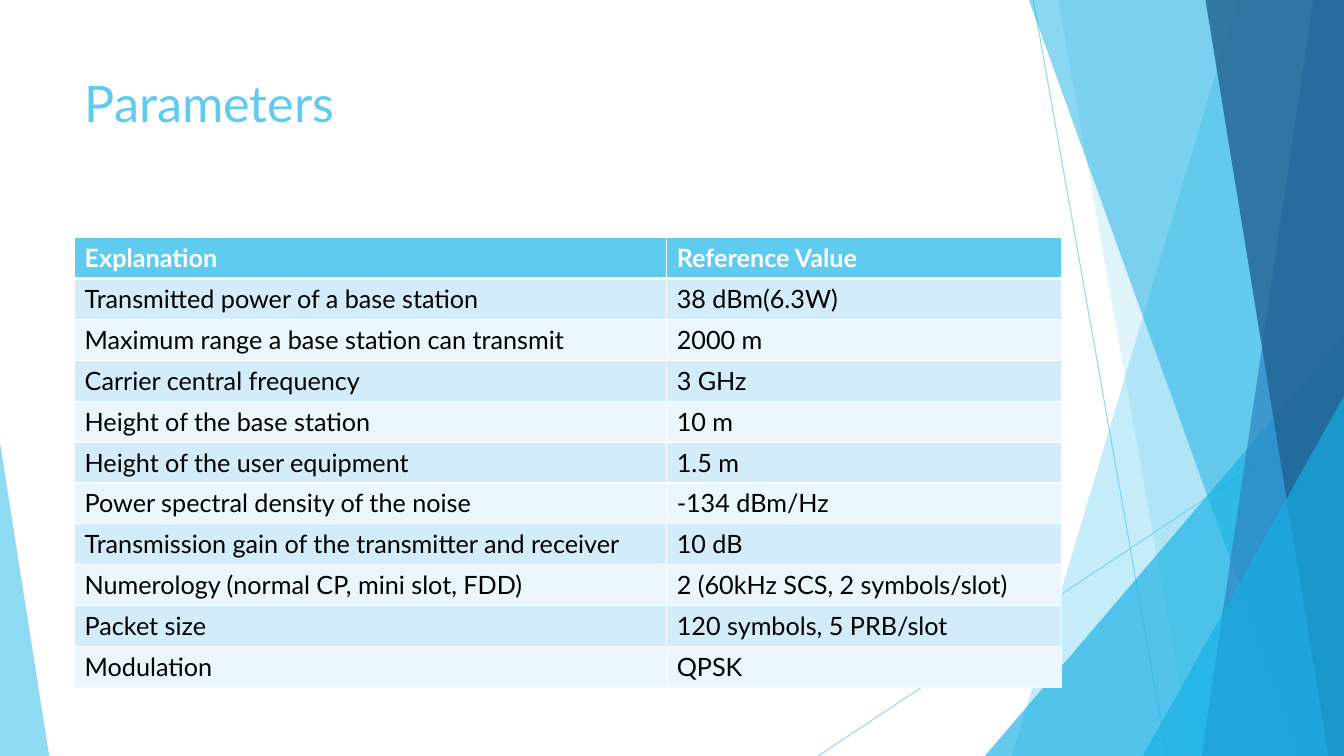
from dataclasses import dataclass

import lxml.etree
import pptx
import pptx.dml.color
import pptx.enum.shapes
import pptx.enum.text
import pptx.oxml.ns
import pptx.util

Cm, Pt = pptx.util.Cm, pptx.util.Pt
qn = pptx.oxml.ns.qn


@dataclass(frozen=True)
class Theme:
    font: str = "Lato"
    sky: str = "5FCBEF"
    aqua: str = "17B0E4"
    blue: str = "2E83C3"
    navy: str = "226292"
    white: str = "FFFFFF"
    black: str = "000000"
    bands: tuple = ("D2ECF9", "EAF6FC")
    title: int = 36
    body: int = 18


THEME = Theme()
PAGE = (0, 0, 33.87, 19.05)
ROWS = [
    ("Explanation", "Reference Value"),
    ("Transmitted power of a base station", "38 dBm(6.3W)"),
    ("Maximum range a base station can transmit", "2000 m"),
    ("Carrier central frequency", "3 GHz"),
    ("Height of the base station", "10 m"),
    ("Height of the user equipment", "1.5 m"),
    ("Power spectral density of the noise", "-134 dBm/Hz"),
    ("Transmission gain of the transmitter and receiver", "10 dB"),
    ("Numerology (normal CP, mini slot, FDD)", "2 (60kHz SCS, 2 symbols/slot)"),
    ("Packet size", "120 symbols, 5 PRB/slot"),
    ("Modulation", "QPSK"),
]


def rgb(code):
    return pptx.dml.color.RGBColor.from_string(code)


def write(frame, text, size=THEME.body, color=THEME.black, bold=False):
    para = frame.paragraphs[0]
    para.alignment = pptx.enum.text.PP_ALIGN.LEFT
    run = para.add_run()
    run.text = text
    run.font.name, run.font.size, run.font.bold = THEME.font, Pt(size), bold
    run.font.color.rgb = rgb(color)


def fade(shape, alpha):
    """Give every colour of the shape an opacity in percent."""
    for color in shape.element.spPr.iter(qn("a:srgbClr")):
        lxml.etree.SubElement(color, qn("a:alpha")).set("val", str(alpha * 1000))


def paint(shape, color, alpha):
    shape.shadow.inherit = False
    shape.fill.solid()
    shape.fill.fore_color.rgb = rgb(color)
    shape.line.fill.background()
    fade(shape, alpha)


def ray(slide, start, end):
    line = slide.shapes.add_connector(
        pptx.enum.shapes.MSO_CONNECTOR.STRAIGHT, *map(Cm, start + end))
    line.line.color.rgb = rgb(THEME.sky)
    line.line.width = Pt(0.75)
    fade(line, 70)
    lxml.etree.SubElement(line.element.spPr, qn("a:effectLst"))


def facet(slide, box, upper, lower, color, alpha):
    """Fill the box to the right of a slanted edge."""
    left, top, width, height = box
    right, base = left + width, top + height
    points = [(right, top), (right, base), (left + lower, base)]
    form = slide.shapes.build_freeform(Cm(left + upper), Cm(top), scale=1.0)
    form.add_line_segments([(Cm(x), Cm(y)) for x, y in points], close=True)
    paint(form.convert_to_shape(), color, alpha)


def wedge(slide, box, peak, color, alpha):
    """Draw a triangle whose tip is at the given share of its width."""
    shape = slide.shapes.add_shape(
        pptx.enum.shapes.MSO_SHAPE.ISOSCELES_TRIANGLE, *map(Cm, box))
    shape.adjustments[0] = peak
    paint(shape, color, alpha)


def backdrop(slide, box):
    left, top, width, height = box
    right, base = left + width, top + height

    def corner(x, y):
        wedge(slide, (left + x, top + y, width - x, height - y), 1, THEME.aqua, 66)

    ray(slide, (left + 26.04, top), (left + 29.41, base))
    ray(slide, (right, top + 10.24), (left + 20.62, base))
    facet(slide, box, 31.19, 25.5, THEME.sky, 36)
    facet(slide, box, 26.67, 30.05, THEME.sky, 20)
    corner(24.82, 8.46)
    facet(slide, box, 25.93, 32.79, THEME.aqua, 50)
    facet(slide, box, 33.1, 30.28, THEME.blue, 70)
    facet(slide, box, 30.38, 33.48, THEME.navy, 80)
    corner(28.8, 9.98)
    wedge(slide, (left, base - 7.9, 1.24, 7.9), 0, THEME.sky, 70)


def heading(slide, box, text):
    title = slide.shapes.title
    title.left, title.top, title.width, title.height = map(Cm, box)
    frame = title.text_frame
    frame.word_wrap = True
    frame.auto_size = pptx.enum.text.MSO_AUTO_SIZE.NONE
    frame.vertical_anchor = pptx.enum.text.MSO_ANCHOR.TOP
    write(frame, text, size=THEME.title, color=THEME.sky)


def border(cell, **widths):
    """Draw white cell edges, named L, R, T and B, in points."""
    props = cell._tc.get_or_add_tcPr()
    for side, width in widths.items():
        edge = lxml.etree.SubElement(props, qn("a:ln" + side), w=str(Pt(width)))
        fill = lxml.etree.SubElement(edge, qn("a:solidFill"))
        lxml.etree.SubElement(fill, qn("a:srgbClr"), val=THEME.white)


def grid(slide, box, rows, share):
    """Place a two-column table; share is the first column's part."""
    left, top, width, height = box
    table = slide.shapes.add_table(len(rows), 2, *map(Cm, box)).table
    table.columns[0].width = Cm(width * share)
    table.columns[1].width = Cm(width * (1 - share))
    for r, row in enumerate(rows):
        table.rows[r].height = Cm(height / len(rows))
        head = r == 0
        for c, text in enumerate(row):
            cell = table.cell(r, c)
            border(cell, L=1, R=1, T=3 if r == 1 else 1, B=3 if head else 1)
            cell.fill.solid()
            cell.fill.fore_color.rgb = rgb(THEME.sky if head else THEME.bands[(r - 1) % 2])
            write(cell.text_frame, text, bold=head,
                  color=THEME.white if head else THEME.black)


def main():
    deck = pptx.Presentation()
    deck.slide_width, deck.slide_height = Cm(PAGE[2]), Cm(PAGE[3])
    slide = deck.slides.add_slide(deck.slide_layouts.get_by_name("Title Only"))
    backdrop(slide, PAGE)
    heading(slide, (1.88, 1.7, 23.88, 3.66), "Parameters")
    grid(slide, (1.88, 5.99, 24.87, 11.33), ROWS, 0.6)
    deck.save("out.pptx")


if __name__ == "__main__":
    main()
